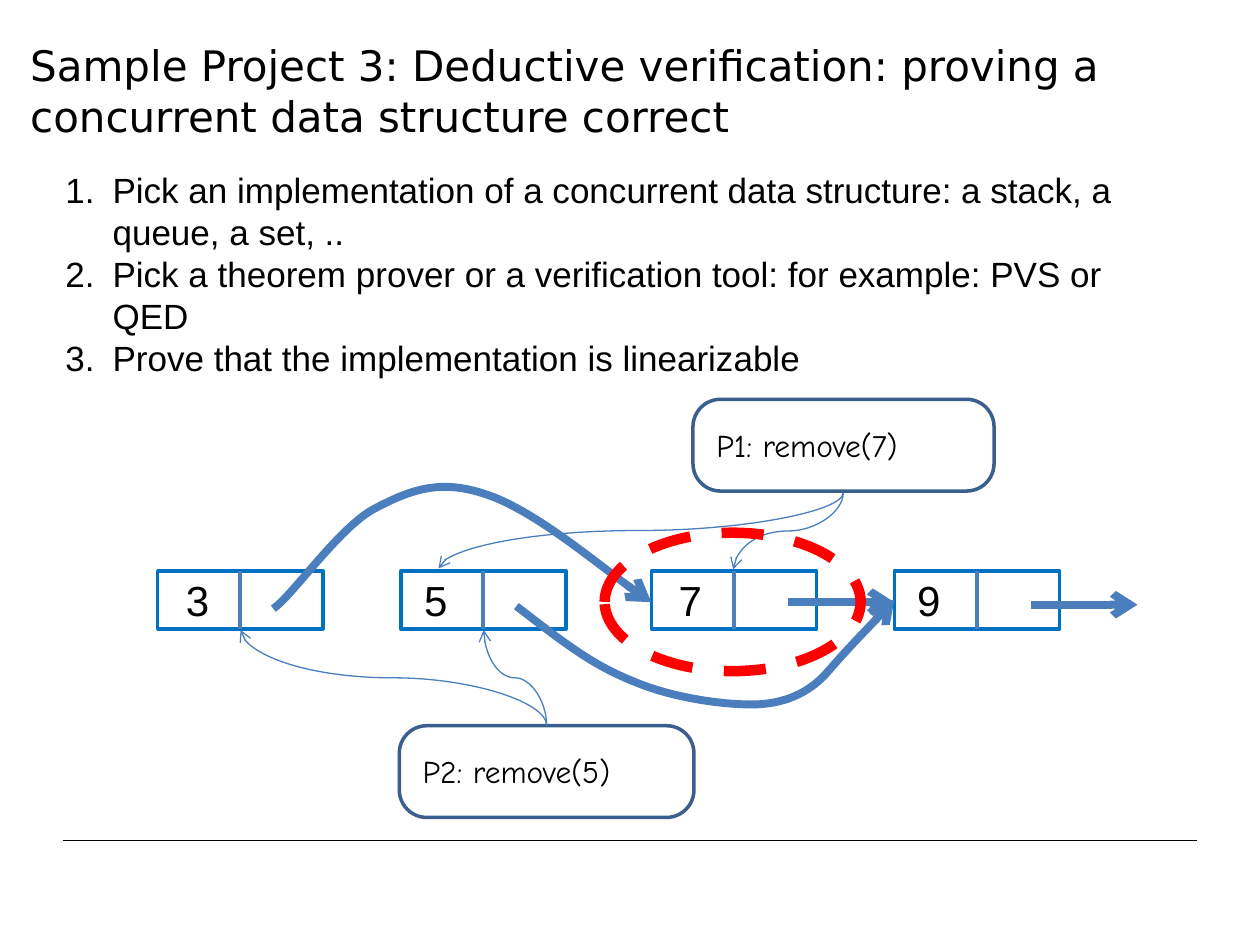
from pptx import Presentation
from pptx.dml.color import RGBColor
from pptx.enum.dml import MSO_LINE
from pptx.enum.shapes import MSO_CONNECTOR, MSO_SHAPE
from pptx.enum.text import MSO_ANCHOR
from pptx.oxml.ns import qn
from pptx.util import Cm, Pt
from lxml.etree import SubElement

BLACK = RGBColor(0x00, 0x00, 0x00)
NODE_BLUE = RGBColor(0x00, 0x70, 0xC0)
ARROW_BLUE = RGBColor(0x4B, 0x7E, 0xBC)
CALLOUT_BLUE = RGBColor(0x3A, 0x5F, 0x8C)
RED = RGBColor(0xFF, 0x00, 0x00)

TITLE_FONT = {"name": "DejaVu Sans", "size": Pt(24)}
LIST_FONT = {"name": "Arial", "size": Pt(20)}
NODE_FONT = {"name": "Arial", "size": Pt(24)}
CALLOUT_FONT = {"name": "Comic Neue", "size": Pt(18)}


def add_text(left, top, width, height, lines, font_format):
    box = slide.shapes.add_textbox(Cm(left), Cm(top), Cm(width), Cm(height))
    frame = box.text_frame
    frame.word_wrap = True
    frame.text = "\n".join(lines)
    for paragraph in frame.paragraphs:
        font = paragraph.runs[0].font
        font.color.rgb = BLACK
        for name, value in font_format.items():
            setattr(font, name, value)
    return frame


def style_outline(shape, color, width, arrow=False):
    shape.line.color.rgb = color
    shape.line.width = Pt(width)
    properties = shape.element.spPr
    if arrow:
        SubElement(properties.find(qn("a:ln")), qn("a:tailEnd"), type="arrow")
    if hasattr(shape, "fill"):
        shape.fill.background()
        shape.shadow.inherit = False
    else:
        SubElement(properties, qn("a:effectLst"))


presentation = Presentation()
presentation.slide_width = Cm(25.4)
presentation.slide_height = Cm(19.05)
slide = presentation.slides.add_slide(presentation.slide_layouts[6])
shapes = slide.shapes

# Footer rule
rule = shapes.add_connector(MSO_CONNECTOR.STRAIGHT, Cm(1.27), Cm(16.94), Cm(24.13), Cm(16.94))
style_outline(rule, BLACK, 0.5)

# Title
title = add_text(0.36, 0.08, 22.86, 3.48, [
    "Sample Project 3: Deductive verification: proving a concurrent data structure correct",
], TITLE_FONT)
title.vertical_anchor = MSO_ANCHOR.MIDDLE

# Numbered steps
steps = add_text(1.07, 3.28, 22.86, 4.52, [
    "Pick an implementation of a concurrent data structure: a stack, a queue, a set, ..",
    "Pick a theorem prover or a verification tool: for example: PVS or QED",
    "Prove that the implementation is linearizable",
], LIST_FONT)
for paragraph in steps.paragraphs:
    properties = paragraph._p.get_or_add_pPr()
    properties.set("marL", str(Cm(0.95)))
    properties.set("indent", str(-Cm(0.95)))
    SubElement(properties, qn("a:buFont"), typeface="+mj-lt")
    SubElement(properties, qn("a:buAutoNum"), type="arabicPeriod")

# List nodes: value, left edge, label left, height of the straight next pointer
NODE_TOP, NODE_WIDTH, NODE_HEIGHT = 11.51, 3.33, 1.17
for value, left, label_left, pointer_y in [
    ("3", 3.18, 3.5, None),
    ("5", 8.08, 8.3, None),
    ("7", 13.13, 13.43, 12.14),
    ("9", 18.03, 18.24, 12.19),
]:
    node = shapes.add_shape(MSO_SHAPE.RECTANGLE, Cm(left), Cm(NODE_TOP),
                            Cm(NODE_WIDTH), Cm(NODE_HEIGHT))
    style_outline(node, NODE_BLUE, 2)
    middle = Cm(left + NODE_WIDTH / 2)
    divider = shapes.add_connector(MSO_CONNECTOR.STRAIGHT, middle, Cm(NODE_TOP),
                                   middle, Cm(NODE_TOP + NODE_HEIGHT))
    style_outline(divider, ARROW_BLUE, 2.25)
    if pointer_y:
        pointer = shapes.add_connector(MSO_CONNECTOR.STRAIGHT, Cm(left + 2.75), Cm(pointer_y),
                                       Cm(left + 4.9), Cm(pointer_y))
        style_outline(pointer, ARROW_BLUE, 4.5, arrow=True)
    add_text(label_left, 11.45, 1.1, 1.3, [value], NODE_FONT)

# Process callouts, each with curved arrows to the nodes it works on
for label, left, top, width, start, ends in [
    ("P1: remove(7)", 13.97, 8.05, 6.07, (17, 9.93), [(8.84, 11.46), (14.78, 11.48)]),
    ("P2: remove(5)", 8.05, 14.63, 5.94, (11.02, 14.63), [(9.75, 12.7), (4.85, 12.7)]),
]:
    callout = shapes.add_shape(MSO_SHAPE.ROUNDED_RECTANGLE, Cm(left), Cm(top),
                               Cm(width), Cm(1.85))
    callout.adjustments[0] = 0.3
    style_outline(callout, CALLOUT_BLUE, 2)
    add_text(left + 0.22, top + 0.41, 6, 1.02, [label], CALLOUT_FONT)
    for end in ends:
        # A quarter turn makes the curve leave and arrive vertically
        center_x, center_y = (start[0] + end[0]) / 2, (start[1] + end[1]) / 2
        half_width, half_height = abs(end[1] - start[1]) / 2, abs(end[0] - start[0]) / 2
        downward = end[1] > start[1]
        rise = half_height if downward else -half_height
        curve = shapes.add_connector(
            MSO_CONNECTOR.CURVE, Cm(center_x - half_width), Cm(center_y - rise),
            Cm(center_x + half_width), Cm(center_y + rise))
        curve.element.spPr.find(qn("a:xfrm")).set("rot", str((90 if downward else 270) * 60000))
        style_outline(curve, ARROW_BLUE, 0.75, arrow=True)

# Redirected next pointers: start point, then three points per Bézier segment
for points in [
    [(5.51, 12.27), (5.87, 12.04), (6.83, 10.64), (7.54, 10.26), (8.26, 9.88),
     (8.86, 9.65), (9.78, 9.96), (10.72, 10.26), (12.57, 11.79), (13.13, 12.14)],
    [(10.41, 12.22), (11.46, 13.03), (11.96, 13.41), (12.78, 13.74), (13.56, 14.07),
     (14.61, 14.22), (15.27, 14.2), (15.9, 14.17), (16.36, 13.92), (16.69, 13.54),
     (17.04, 13.13), (17.81, 12.34), (18.03, 12.09)],
]:
    start, *others = [(Cm(x), Cm(y)) for x, y in points]
    builder = shapes.build_freeform(*start)
    builder.add_line_segments(others, close=False)
    bypass = builder.convert_to_shape()
    segments = list(bypass.element.iter(qn("a:lnTo")))
    outline = segments[0].getparent()
    for index in range(0, len(segments), 3):
        bezier = SubElement(outline, qn("a:cubicBezTo"))
        for segment in segments[index:index + 3]:
            bezier.append(segment[0])
            outline.remove(segment)
    style_outline(bypass, ARROW_BLUE, 4.5, arrow=True)

# Highlight around the removed node
highlight = shapes.add_shape(MSO_SHAPE.OVAL, Cm(12.19), Cm(10.74), Cm(5.16), Cm(2.79))
highlight.line.dash_style = MSO_LINE.DASH
style_outline(highlight, RED, 6)

presentation.save("out.pptx")
